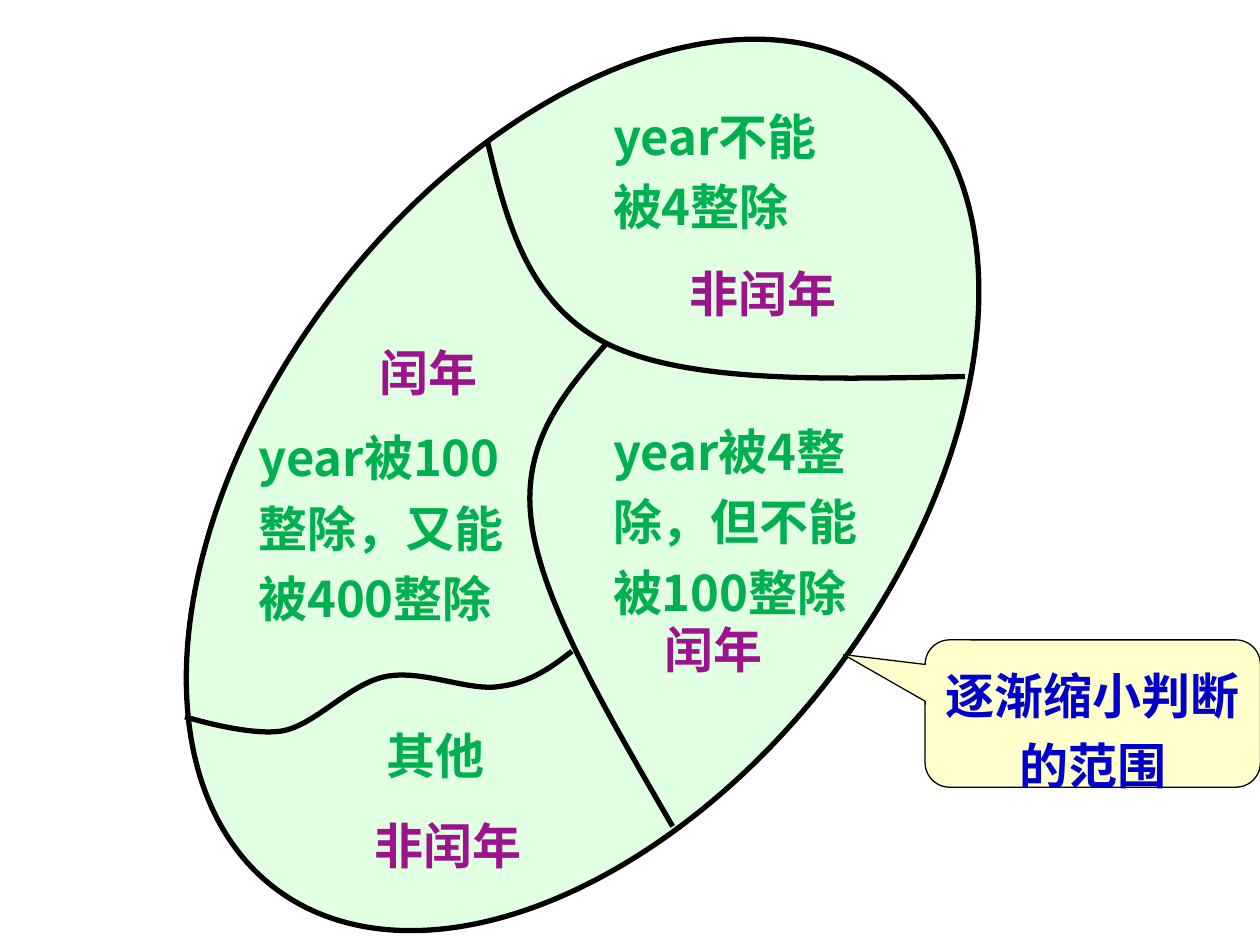
from lxml import etree
from pptx import Presentation
from pptx.dml.color import RGBColor
from pptx.enum.shapes import MSO_SHAPE
from pptx.enum.text import MSO_ANCHOR, PP_ALIGN
from pptx.oxml.ns import qn
from pptx.util import Cm, Pt

ELLIPSE, CALLOUT = MSO_SHAPE.OVAL, MSO_SHAPE.ROUNDED_RECTANGULAR_CALLOUT
LEFT, CENTER = PP_ALIGN.LEFT, PP_ALIGN.CENTER
TOP = MSO_ANCHOR.TOP
FONT = "Noto Sans CJK SC"
GREEN, PURPLE, BLUE, BLACK = "00B050", "9D138D", "0000CC", "000000"
MINT, CREAM = "E1FFE1", "FFFFCC"

REGION = (1.52, 3.45, 20.45, 12.65)
NOTE = ("逐渐缩小判断的范围", (18.65, 12.9, 6.76, 2.97))

BORDERS = [
    [(9.82, 2.82), (10.21, 4.47), (10.64, 6.12), (12.24, 6.93),
     (13.84, 7.72), (16.64, 7.65), (19.45, 7.59)],
    [(12.22, 6.93), (11.35, 7.95), (10.49, 8.94), (10.72, 10.57),
     (10.95, 12.19), (12.27, 14.43), (13.56, 16.66)],
    [(11.53, 13.13), (11.13, 13.44), (10.69, 13.77), (10.06, 13.84),
     (9.45, 13.94), (8.51, 13.49), (7.77, 13.64),
     (7.04, 13.79), (6.4, 14.58), (5.72, 14.73),
     (5.05, 14.86), (3.73, 14.45), (3.73, 14.45)],
]

CONDITIONS = [
    ("year不能被4整除", (12.11, 1.78, 4.95, 2.64)),
    ("year被4整除，但不能被100整除", (12.11, 8.13, 5.94, 3.84)),
    ("year被100整除，又能被400整除", (4.96, 8.26, 5.94, 3.84)),
    ("其他", (7.54, 14.27, 3.18, 1.45)),
]

RESULT_SIZE = (4.95, 1.45)
RESULTS = [
    ("非闰年", (12.9, 4.95)),
    ("闰年", (11.91, 12.12)),
    ("闰年", (6.16, 6.55)),
    ("非闰年", (6.55, 16.08)),
]


def rgb(color):
    """Turn a hex string into a colour."""
    return RGBColor.from_string(color)


def write(sp, text, color=GREEN, align=LEFT, size=28, spacing=1.2):
    """Put one bold wrapped paragraph into a shape."""
    tf = sp.text_frame
    tf.word_wrap = True
    tf.vertical_anchor = TOP
    p = tf.paragraphs[0]
    p.alignment = align
    p.line_spacing = spacing
    r = p.add_run()
    r.text = text
    r.font.name, r.font.size, r.font.bold = FONT, Pt(size), True
    r.font.color.rgb = rgb(color)
    etree.SubElement(r.font._element, qn("a:ea"), typeface=FONT)


def style(sp, width, fill=None):
    """Set a flat fill and a black outline."""
    sp.shadow.inherit = False
    if fill:
        sp.fill.solid()
        sp.fill.fore_color.rgb = rgb(fill)
    else:
        sp.fill.background()
    sp.line.color.rgb = rgb(BLACK)
    sp.line.width = Pt(width)


def add_curve(s, points):
    """Draw an open chain of cubic Bezier segments."""
    start, *rest = [(Cm(x), Cm(y)) for x, y in points]
    builder = s.shapes.build_freeform(*start)
    builder.add_line_segments(rest, close=False)
    sp = builder.convert_to_shape()
    outline = next(sp._element.iter(qn("a:path")))
    steps = outline.findall(qn("a:lnTo"))
    for i in range(0, len(steps), 3):
        bezier = etree.SubElement(outline, qn("a:cubicBezTo"))
        for step in steps[i:i + 3]:
            bezier.append(step[0])
            outline.remove(step)
    style(sp, 3)


def main():
    """Build the leap year slide."""
    prs = Presentation()
    prs.slide_width, prs.slide_height = Cm(25.4), Cm(19.05)
    s = prs.slides.add_slide(prs.slide_layouts[6])

    sp = s.shapes.add_shape(ELLIPSE, *map(Cm, REGION))
    sp.rotation = 307.4
    style(sp, 3, MINT)
    for points in BORDERS:
        add_curve(s, points)

    for text, box in CONDITIONS:
        write(s.shapes.add_textbox(*map(Cm, box)), text)
    for text, corner in RESULTS:
        sp = s.shapes.add_textbox(*map(Cm, corner + RESULT_SIZE))
        write(sp, text, color=PURPLE, align=CENTER)

    text, box = NOTE
    sp = s.shapes.add_shape(CALLOUT, *map(Cm, box))
    for i, value in enumerate((-0.743, -0.4, 0.167)):
        sp.adjustments[i] = value
    style(sp, 0.75, CREAM)
    write(sp, text, color=BLUE, align=CENTER)

    prs.save("out.pptx")


if __name__ == "__main__":
    main()
